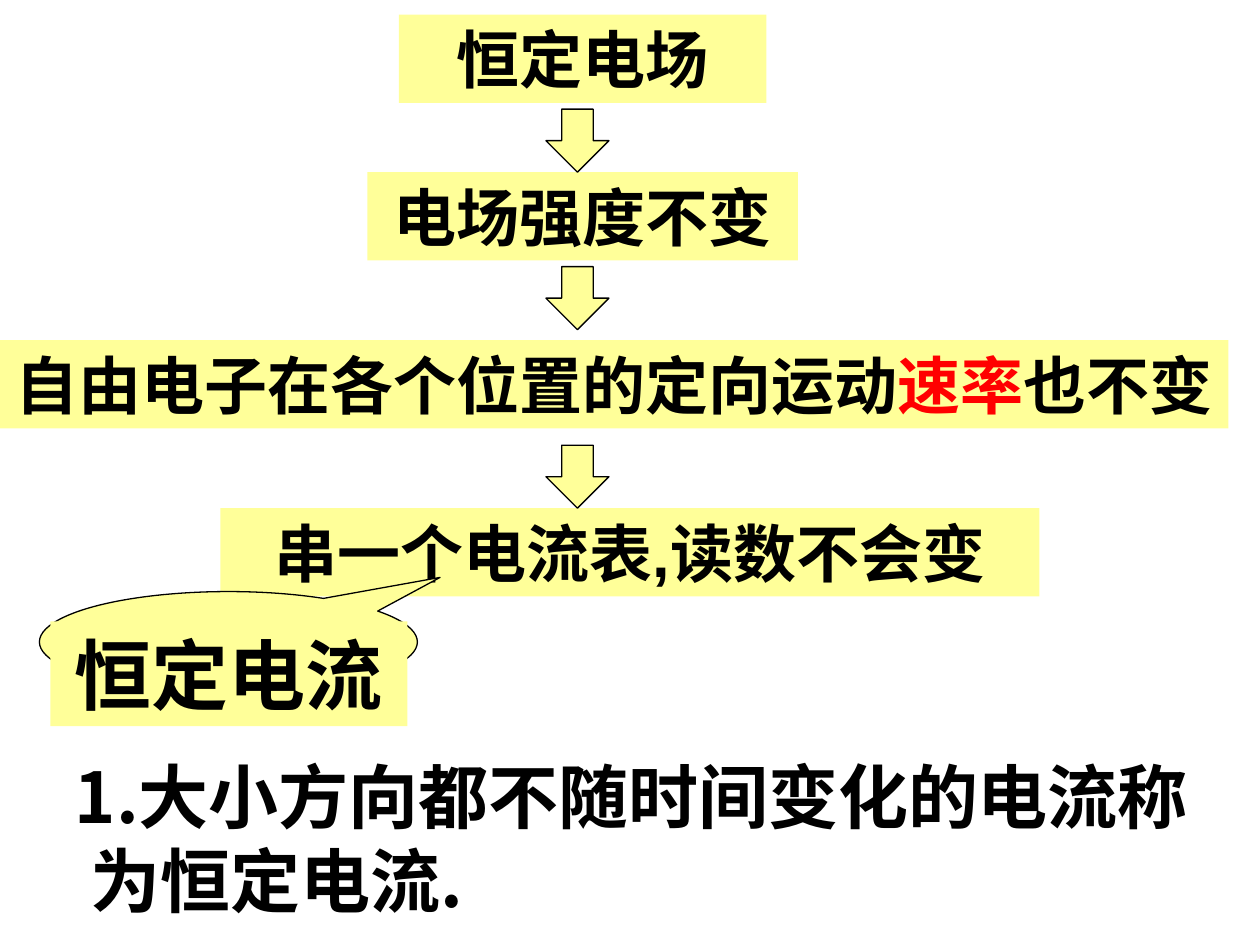
from pptx import Presentation
from pptx.dml.color import RGBColor
from pptx.enum.shapes import MSO_SHAPE as Shape
from pptx.enum.text import MSO_ANCHOR as Anchor, PP_ALIGN as Align
from pptx.util import Pt

YELLOW = RGBColor(0xFF, 0xFF, 0x99)
BLACK = RGBColor(0, 0, 0)
RED = RGBColor(0xFF, 0, 0)
CJK_FONT = "Noto Sans CJK SC"


def write(frame, *parts, size=36, font="Arial", align=Align.CENTER, anchor=Anchor.MIDDLE,
          wrap=False, left=0, hanging=0):
    frame.word_wrap = wrap
    frame.vertical_anchor = anchor
    frame.margin_left = frame.margin_right = Pt(7.2)
    frame.margin_top = frame.margin_bottom = Pt(3.6)
    paragraph = frame.paragraphs[0]
    paragraph.alignment = align
    if hanging:
        properties = paragraph._p.get_or_add_pPr()
        properties.set("marL", str(Pt(left)))
        properties.set("indent", str(-Pt(hanging)))
    for words, color in parts:
        run = paragraph.add_run()
        run.text = words
        run.font.name = font
        run.font.size = Pt(size)
        run.font.bold = True
        run.font.color.rgb = color
        latin = run.font._element.find("{*}latin")
        east_asian = latin.makeelement(latin.tag.replace("latin", "ea"), {"typeface": CJK_FONT})
        latin.addnext(east_asian)


class FlowSlide:
    def __init__(self, deck, fill=YELLOW, outline=BLACK):
        self.slide = deck.slides.add_slide(deck.slide_layouts[6])
        self.fill = fill
        self.outline = outline

    def figure(self, kind, box, outlined=True):
        shape = self.slide.shapes.add_shape(kind, *map(Pt, box))
        shape.shadow.inherit = False
        shape.fill.solid()
        shape.fill.fore_color.rgb = self.fill
        if outlined:
            shape.line.color.rgb = self.outline
            shape.line.width = Pt(0.75)
        else:
            shape.line.fill.background()
        return shape

    def panel(self, box, *parts, **style):
        write(self.figure(Shape.RECTANGLE, box, outlined=False).text_frame, *parts, **style)

    def arrow(self, top):
        self.figure(Shape.DOWN_ARROW, (312, top, 36, 36))

    def callout(self, box, tip_x, tip_y):
        bubble = self.figure(Shape.OVAL_CALLOUT, box)
        bubble.rotation = 180
        bubble.adjustments[0] = tip_x
        bubble.adjustments[1] = tip_y

    def text(self, box, *parts, **style):
        write(self.slide.shapes.add_textbox(*map(Pt, box)).text_frame, *parts, **style)


def main():
    deck = Presentation()
    deck.slide_width, deck.slide_height = Pt(720), Pt(540)
    flow = FlowSlide(deck)

    steps = [
        (228, 8.4, 210, [("恒定电场", BLACK)]),
        (210, 98.4, 246, [("电场强度不变", BLACK)]),
        (0, 194.4, 702, [("自由电子在各个位置的定向运动", BLACK), ("速率", RED), ("也不变", BLACK)]),
        (126, 290.4, 468, [("串一个电流表,读数不会变", BLACK)]),
    ]
    for left, top, width, parts in steps:
        flow.panel((left, top, width, 50.4), *parts)
    for top in (62.4, 152.4, 254.4):
        flow.arrow(top)

    flow.callout((22.5, 338, 216, 57.6), -0.56, 0.64)
    flow.panel((28.8, 355, 204, 60), ("恒定电流", BLACK), size=44)
    flow.text((17.3, 427, 672, 113), ("1.大小方向都不随时间变化的电流称为恒定电流.", BLACK),
              size=40, font=CJK_FONT, align=Align.LEFT, anchor=Anchor.TOP,
              wrap=True, left=27.4, hanging=9)

    deck.save("out.pptx")


if __name__ == "__main__":
    main()
